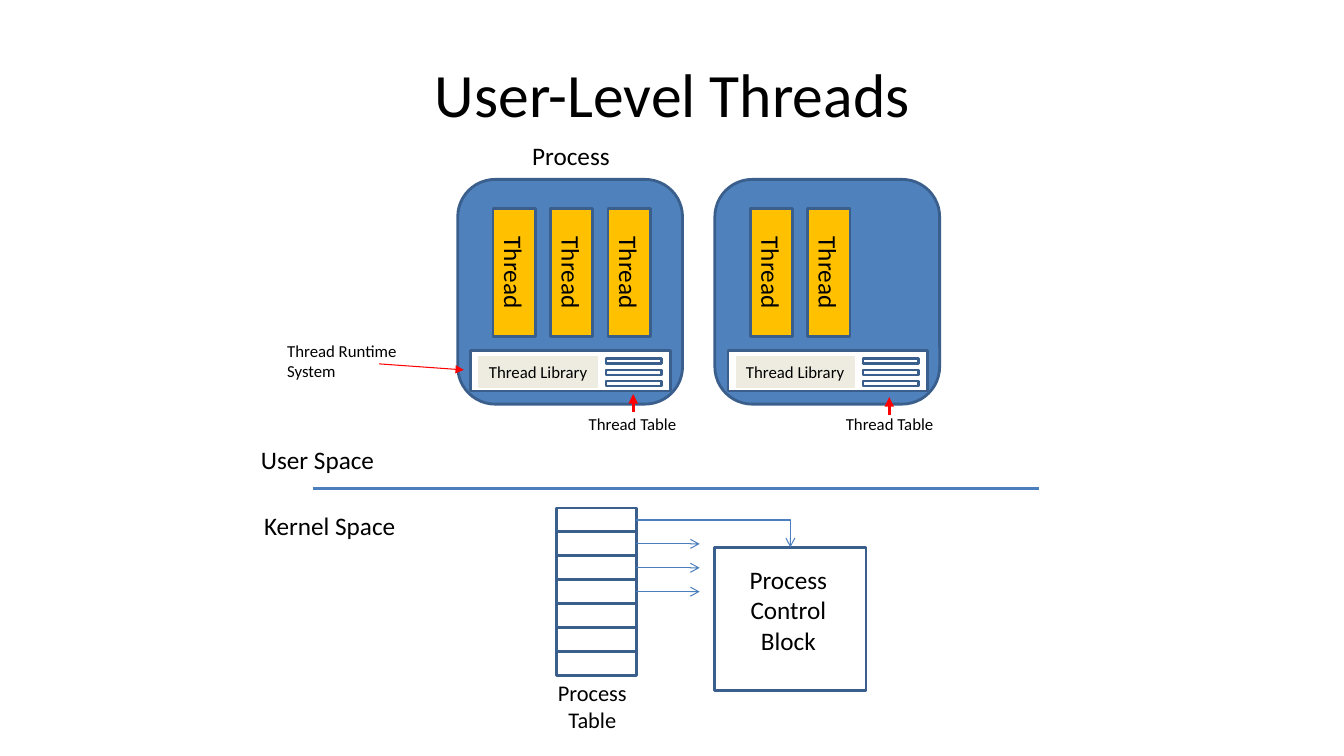
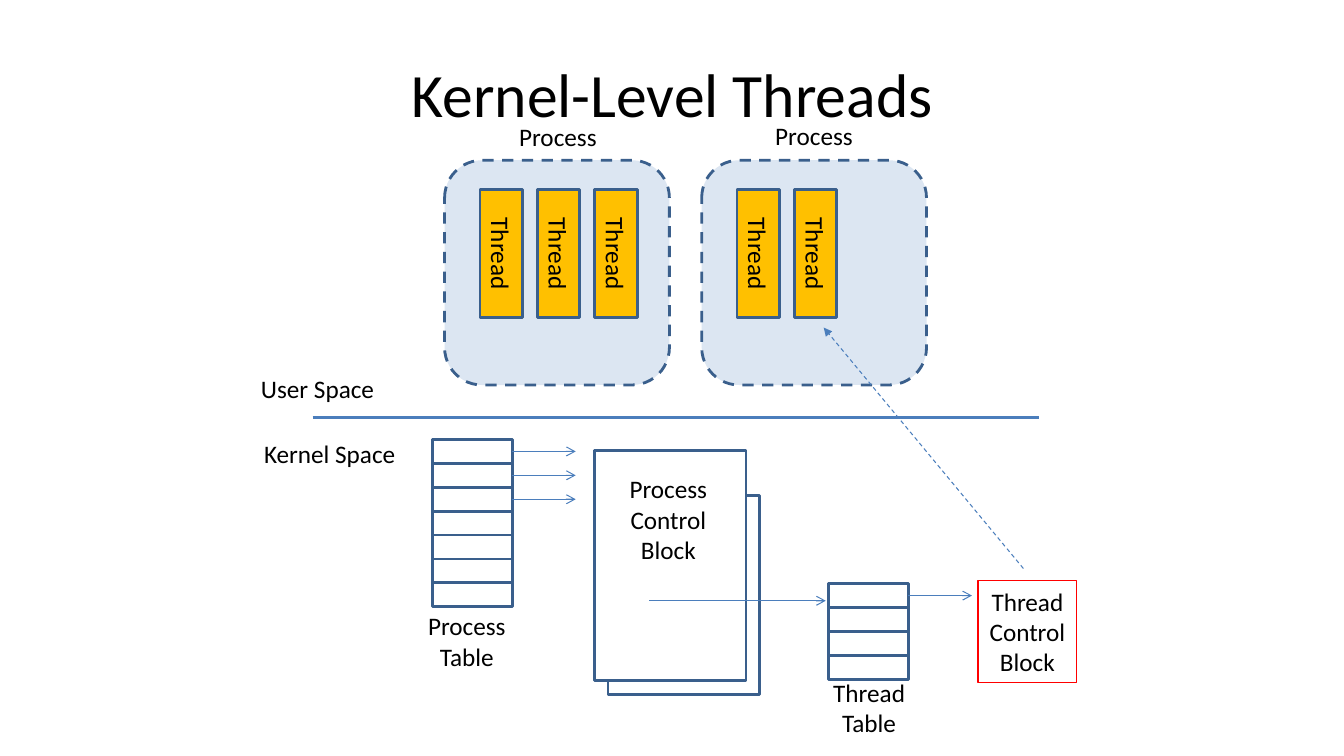
from dataclasses import dataclass
from typing import Optional

import lxml.etree
import pptx
import pptx.dml.color
import pptx.enum.dml
import pptx.enum.shapes
import pptx.enum.text
import pptx.oxml.ns
import pptx.shapes.autoshape
import pptx.shapes.base
import pptx.shapes.connector
import pptx.slide
import pptx.text.text
import pptx.util

Inches = pptx.util.Inches
Shape = pptx.shapes.autoshape.Shape
Connector = pptx.shapes.connector.Connector
Slide = pptx.slide.Slide
Preset = pptx.enum.shapes.MSO_SHAPE
Align = pptx.enum.text.PP_ALIGN
Anchor = pptx.enum.text.MSO_ANCHOR
Dash = pptx.enum.dml.MSO_LINE
qn = pptx.oxml.ns.qn


@dataclass(frozen=True)
class Theme:
    font: str = "Calibri"
    ink: str = "000000"
    paper: str = "FFFFFF"
    outline: str = "3A5F8C"
    link: str = "4B7EBC"
    accent: str = "FF0000"
    process: str = "4F81BD"
    pale_process: str = "DCE6F2"
    thread: str = "FFC000"
    library: str = "EEECE1"
    title: float = 44
    body: float = 18
    caption: float = 16
    small: float = 12
    thick: float = 2.25
    border: float = 2
    thin: float = 0.75


THEME = Theme()


@dataclass(frozen=True)
class Box:
    left: float
    top: float
    width: float
    height: float


@dataclass(frozen=True)
class Label:
    text: str
    box: Box
    size: float = THEME.body
    align: Align = Align.LEFT
    wrap: bool = False


@dataclass(frozen=True)
class Arrow:
    start: tuple[float, float]
    end: tuple[float, float]
    color: str = THEME.link
    width: float = THEME.thin
    head: Optional[str] = "triangle"
    dashed: bool = False


@dataclass(frozen=True)
class Process:
    left: float
    top: float
    threads: int
    fill: str
    dashed: bool = False
    has_library: bool = False


def rgb(color: str) -> pptx.dml.color.RGBColor:
    return pptx.dml.color.RGBColor.from_string(color)


def write(frame: pptx.text.text.TextFrame, text: str, size: float,
          align: Align, wrap: bool = True) -> None:
    frame.text = text
    frame.word_wrap = wrap
    for paragraph in frame.paragraphs:
        paragraph.alignment = align
        paragraph.font.size = pptx.util.Pt(size)
        paragraph.font.name = THEME.font
        paragraph.font.color.rgb = rgb(THEME.ink)


def draw_box(slide: Slide, box: Box, fill: str = THEME.paper,
             outline: str = THEME.outline, width: float = THEME.border,
             preset: Preset = Preset.RECTANGLE, dashed: bool = False) -> Shape:
    shape = slide.shapes.add_shape(preset, Inches(box.left), Inches(box.top),
                                   Inches(box.width), Inches(box.height))
    shape.shadow.inherit = False
    shape.fill.solid()
    shape.fill.fore_color.rgb = rgb(fill)
    shape.line.color.rgb = rgb(outline)
    shape.line.width = pptx.util.Pt(width)
    if dashed:
        shape.line.dash_style = Dash.DASH
    return shape


def draw_label(slide: Slide, label: Label) -> Shape:
    box = label.box
    shape = slide.shapes.add_textbox(Inches(box.left), Inches(box.top),
                                     Inches(box.width), Inches(box.height))
    write(shape.text_frame, label.text, label.size, label.align, label.wrap)
    shape.text_frame.auto_size = pptx.enum.text.MSO_AUTO_SIZE.SHAPE_TO_FIT_TEXT
    return shape


def draw_arrow(slide: Slide, arrow: Arrow, bent: bool = False) -> Connector:
    kinds = pptx.enum.shapes.MSO_CONNECTOR
    connector = slide.shapes.add_connector(
        kinds.ELBOW if bent else kinds.STRAIGHT,
        *(Inches(value) for value in arrow.start + arrow.end))
    properties = connector._element.spPr
    if bent:
        properties.find(qn("a:prstGeom")).set("prst", "bentConnector2")
    connector.line.color.rgb = rgb(arrow.color)
    connector.line.width = pptx.util.Pt(arrow.width)
    if arrow.dashed:
        connector.line.dash_style = Dash.DASH
    if arrow.head:
        line = properties.find(qn("a:ln"))
        lxml.etree.SubElement(line, qn("a:tailEnd")).set("type", arrow.head)
    lxml.etree.SubElement(properties, qn("a:effectLst"))
    return connector


def draw_library(slide: Slide, left: float, top: float) -> None:
    draw_box(slide, Box(left, top, 1.98, 0.4))
    library = draw_box(slide, Box(left + 0.08, top + 0.06, 1.18, 0.3),
                       THEME.library, THEME.library, THEME.thin)
    write(library.text_frame, "Thread Library", THEME.small, Align.LEFT, False)
    library.text_frame.vertical_anchor = Anchor.TOP
    for entry in range(3):
        draw_box(slide, Box(left + 1.34, top + 0.08 + 0.11 * entry, 0.55, 0.05))


def draw_process(slide: Slide, process: Process) -> None:
    draw_box(slide, Box(process.left, process.top, 2.23, 2.23), process.fill,
             preset=Preset.ROUNDED_RECTANGLE, dashed=process.dashed)
    if process.has_library:
        draw_library(slide, process.left + 0.13, process.top + 1.7)
    for index in range(process.threads):
        thread = draw_box(slide, Box(process.left + 0.35 + 0.57 * index,
                                     process.top + 0.29, 0.42, 1.27), THEME.thread)
        write(thread.text_frame, "Thread", THEME.body, Align.CENTER)
        thread.text_frame._txBody.bodyPr.set("vert", "vert")


def draw_rows(slide: Slide, box: Box, count: int) -> list[Shape]:
    height = box.height / count
    return [draw_box(slide, Box(box.left, box.top + height * index, box.width, height))
            for index in range(count)]


def draw_pointers(slide: Slide, rows: list[Shape]) -> None:
    for row in rows:
        right = (row.left + row.width) / Inches(1)
        middle = (row.top + row.height // 2) / Inches(1)
        pointer = draw_arrow(slide, Arrow((right, middle), (right + 0.63, middle),
                                          head="arrow"))
        pointer.begin_connect(row, 3)


def draw_control_block(slide: Slide, box: Box, text_top: float) -> Shape:
    block = draw_box(slide, box)
    write(block.text_frame, "Process\nControl\nBlock", THEME.body, Align.CENTER)
    block.text_frame.vertical_anchor = Anchor.TOP
    block.text_frame.margin_top = Inches(text_top)
    block.text_frame.margin_right = Inches(0.14)
    return block


def add_slide(deck: pptx.presentation.Presentation, title: str, border: float) -> Slide:
    slide = deck.slides.add_slide(deck.slide_layouts[6])
    heading = slide.shapes.add_textbox(Inches(0.67), Inches(0.3), Inches(12), Inches(1.25))
    write(heading.text_frame, title, THEME.title, Align.CENTER)
    heading.text_frame.vertical_anchor = Anchor.MIDDLE
    draw_arrow(slide, Arrow((3.1, border), (10.3, border), width=THEME.thick, head=None))
    draw_label(slide, Label("User Space", Box(2.49, border - 0.49, 1.34, 0.4)))
    draw_label(slide, Label("Kernel Space", Box(2.52, border + 0.16, 1.52, 0.4)))
    return slide


def build_user_level(deck: pptx.presentation.Presentation) -> None:
    slide = add_slide(deck, "User-Level Threads", 4.85)
    for left, threads in ((4.54, 3), (7.09, 2)):
        draw_process(slide, Process(left, 1.78, threads, THEME.process, has_library=True))
    for label in (
        Label("Process", Box(5.18, 1.34, 0.98, 0.4)),
        Label("Thread Table", Box(5.74, 4.06, 1.08, 0.3), THEME.small),
        Label("Thread Table", Box(8.29, 4.06, 1.08, 0.3), THEME.small),
        Label("Thread Runtime System", Box(2.75, 3.33, 1.34, 0.5), THEME.small, wrap=True),
        Label("Process\nTable", Box(5.43, 6.69, 0.89, 0.64), THEME.caption, Align.CENTER),
    ):
        draw_label(slide, label)
    for arrow in (
        Arrow((6.28, 4.09), (6.28, 3.91), THEME.accent, THEME.thick),
        Arrow((8.82, 4.12), (8.82, 3.94), THEME.accent, THEME.thick),
        Arrow((3.76, 3.61), (4.6, 3.67), THEME.accent),
    ):
        draw_arrow(slide, arrow)
    control_block = draw_control_block(slide, Box(7.09, 5.43, 1.5, 1.42), 0.17)
    process_table = draw_rows(slide, Box(5.52, 5.04, 0.79, 1.66), 7)
    draw_pointers(slide, process_table[1:4])
    block_link = draw_arrow(slide, Arrow((6.31, 5.16), (7.84, 5.43), head="arrow"), bent=True)
    block_link.begin_connect(process_table[0], 3)
    block_link.end_connect(control_block, 0)


def build_kernel_level(deck: pptx.presentation.Presentation) -> None:
    slide = add_slide(deck, "Kernel-Level Threads", 4.14)
    for left, threads in ((4.41, 3), (6.96, 2)):
        draw_process(slide, Process(left, 1.59, threads, THEME.pale_process, dashed=True))
    draw_box(slide, Box(6.03, 4.92, 1.5, 1.97))
    draw_control_block(slide, Box(5.9, 4.47, 1.5, 2.28), 0.23)
    process_table = draw_rows(slide, Box(4.29, 4.36, 0.79, 1.66), 7)
    thread_table = draw_rows(slide, Box(8.22, 5.79, 0.79, 0.95), 4)
    draw_pointers(slide, process_table[:3] + thread_table[:1])
    thread_block = draw_box(slide, Box(9.7, 5.76, 0.98, 1.01), outline=THEME.accent,
                            width=THEME.thin)
    write(thread_block.text_frame, "Thread\nControl\nBlock", THEME.body, Align.CENTER, False)
    for label in (
        Label("Process", Box(5.05, 1.15, 0.98, 0.4)),
        Label("Process", Box(7.59, 1.14, 0.98, 0.4)),
        Label("Process\nTable", Box(4.14, 6.01, 0.98, 0.71), align=Align.CENTER),
        Label("Thread\nTable", Box(8.16, 6.67, 0.92, 0.71), align=Align.CENTER),
    ):
        draw_label(slide, label)
    draw_arrow(slide, Arrow((6.44, 5.96), (8.19, 5.96), head="arrow"))
    draw_arrow(slide, Arrow((10.15, 5.64), (8.17, 3.25), dashed=True))


def main() -> None:
    deck = pptx.Presentation()
    deck.slide_width = Inches(13.33)
    deck.slide_height = Inches(7.5)
    build_user_level(deck)
    build_kernel_level(deck)
    deck.save("out.pptx")


if __name__ == "__main__":
    main()
